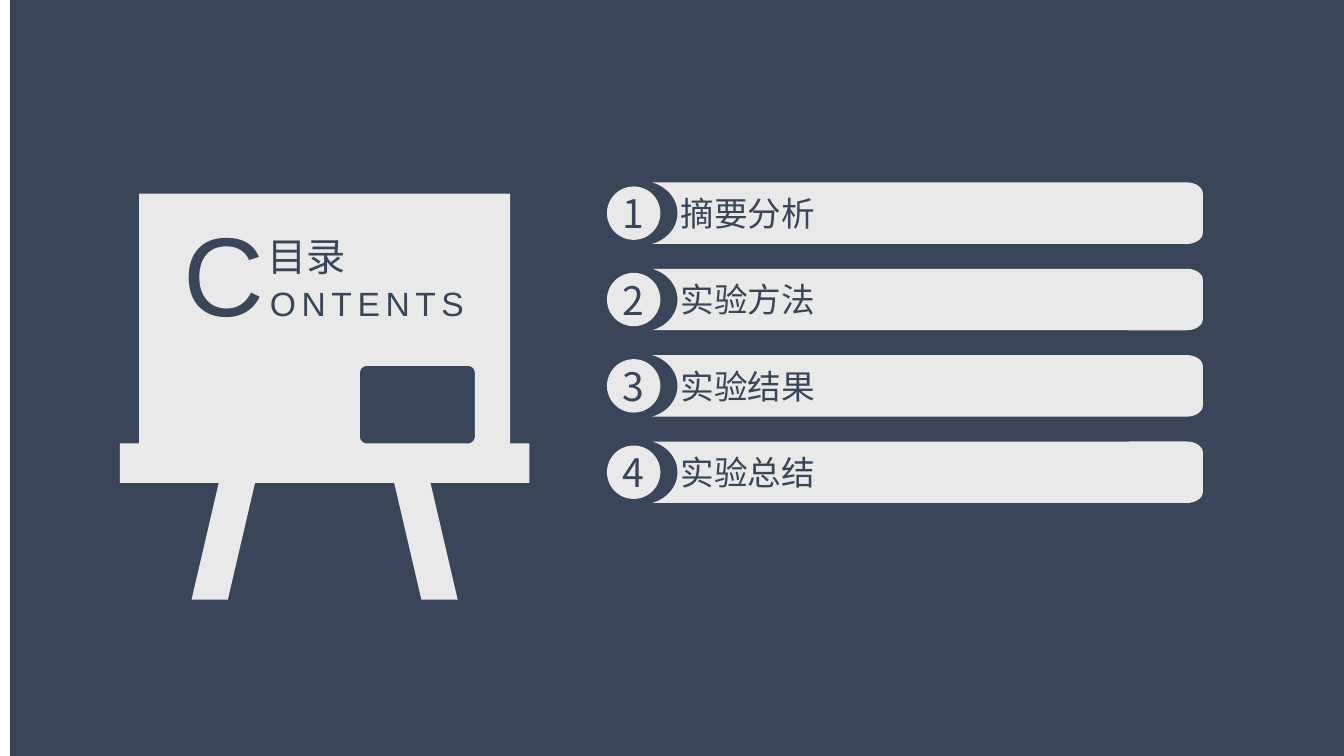
"""Build a contents slide with an easel and four numbered topics."""
from dataclasses import dataclass
from math import cos, radians, sin

from lxml.etree import SubElement
from pptx import Presentation
from pptx.dml.color import RGBColor
from pptx.enum.shapes import MSO_SHAPE
from pptx.enum.text import MSO_ANCHOR, PP_ALIGN
from pptx.oxml.ns import qn
from pptx.util import Inches, Pt


@dataclass(frozen=True)
class Theme:
    navy: RGBColor = RGBColor(0x39, 0x46, 0x59)
    paper: RGBColor = RGBColor(0xE9, 0xE9, 0xE9)
    latin_font: str = "Arial"
    chinese_font: str = "Noto Sans CJK SC"
    initial_size: Pt = Pt(80)
    heading_size: Pt = Pt(28)
    topic_size: Pt = Pt(24)


theme = Theme()


def arc(center_x, center_y, radius_x, radius_y, start, end, steps=12):
    angles = [radians(start + (end - start) * step / steps) for step in range(steps + 1)]
    return [(Inches(center_x + radius_x * cos(angle)), Inches(center_y + radius_y * sin(angle)))
            for angle in angles]


def write(shape, text, size, font_name, alignment=PP_ALIGN.LEFT):
    frame = shape.text_frame
    frame.word_wrap = True
    frame.vertical_anchor = MSO_ANCHOR.MIDDLE
    paragraph = frame.paragraphs[0]
    paragraph.alignment = alignment
    paragraph.add_run().text = text
    paragraph.font.size = size
    paragraph.font.name = font_name
    paragraph.font.color.rgb = theme.navy
    SubElement(paragraph.font._element, qn("a:ea"), typeface=font_name)
    return paragraph


presentation = Presentation()
presentation.slide_width = Inches(13.33)
presentation.slide_height = Inches(7.5)
slide = presentation.slides.add_slide(presentation.slide_layouts[6])
shapes = slide.shapes

backdrop = shapes.add_shape(MSO_SHAPE.RECTANGLE, Inches(0.1), 0, Inches(13.23), Inches(7.5))

easel_outline = [
    (5.25, 4.4), (5.06, 4.4), (5.06, 1.92), (1.38, 1.92), (1.38, 4.4), (1.19, 4.4),
    (1.19, 4.79), (2.17, 4.79), (1.9, 5.95), (2.26, 5.95), (2.53, 4.79), (3.91, 4.79),
    (4.18, 5.95), (4.54, 5.95), (4.27, 4.79), (5.25, 4.79),
]
easel_points = [(Inches(x), Inches(y)) for x, y in easel_outline]
window_corners = [(4.64, 4.33, 0), (3.64, 4.33, 90), (3.64, 3.7, 180), (4.64, 3.7, 270)]
window_points = [point for x, y, angle in window_corners
                 for point in arc(x, y, 0.07, 0.07, angle, angle + 90)]
builder = shapes.build_freeform(*easel_points[0])
builder.add_line_segments(easel_points[1:])
builder.move_to(*window_points[0])
builder.add_line_segments(window_points[1:])
easel = builder.convert_to_shape()

contents_box = shapes.add_textbox(Inches(1.72), Inches(2.12), Inches(3.12), Inches(1.16))
contents = write(contents_box, "C", theme.initial_size, theme.latin_font)
ending = contents.add_run()
ending.text = "ONTENTS"
ending.font.size = theme.topic_size
for run in contents.runs:
    run.font._element.set("spc", "400")

heading_box = shapes.add_textbox(Inches(2.55), Inches(2.29), Inches(2.01), Inches(0.49))
write(heading_box, "目录", theme.heading_size, theme.chinese_font)

filled_shapes = [(backdrop, theme.navy), (easel, theme.paper)]
first_top, pitch, bar_height = 1.81, 2.57 / 3, 0.61
for index, topic in enumerate(["摘要分析", "实验方法", "实验结果", "实验总结"]):
    top = first_top + index * pitch
    bottom = top + bar_height
    middle = top + bar_height / 2
    bar_points = (arc(11.77, top + 0.11, 0.16, 0.11, -90, 0)
                  + arc(11.77, bottom - 0.11, 0.16, 0.11, 0, 90)
                  + arc(6.36, middle, 0.36, 0.32, 72, -72, steps=24))
    builder = shapes.build_freeform(*bar_points[0])
    builder.add_line_segments(bar_points[1:])
    bar = builder.convert_to_shape()
    write(bar, topic, theme.topic_size, theme.chinese_font)
    bar.text_frame.margin_left = Inches(0.28)
    bar.text_frame.margin_right = Inches(0.04)
    bar.text_frame.margin_top = bar.text_frame.margin_bottom = Inches(0.04)

    badge = shapes.add_shape(MSO_SHAPE.OVAL, Inches(6.02), Inches(top + 0.04),
                             Inches(0.53), Inches(0.53))
    write(badge, str(index + 1), theme.heading_size, theme.chinese_font, PP_ALIGN.CENTER)
    badge.text_frame.margin_left = badge.text_frame.margin_right = 0
    badge.text_frame.margin_top = badge.text_frame.margin_bottom = 0
    filled_shapes += [(bar, theme.paper), (badge, theme.paper)]

for shape, color in filled_shapes:
    shape.shadow.inherit = False
    shape.fill.solid()
    shape.fill.fore_color.rgb = color
    shape.line.fill.background()

presentation.save("out.pptx")
